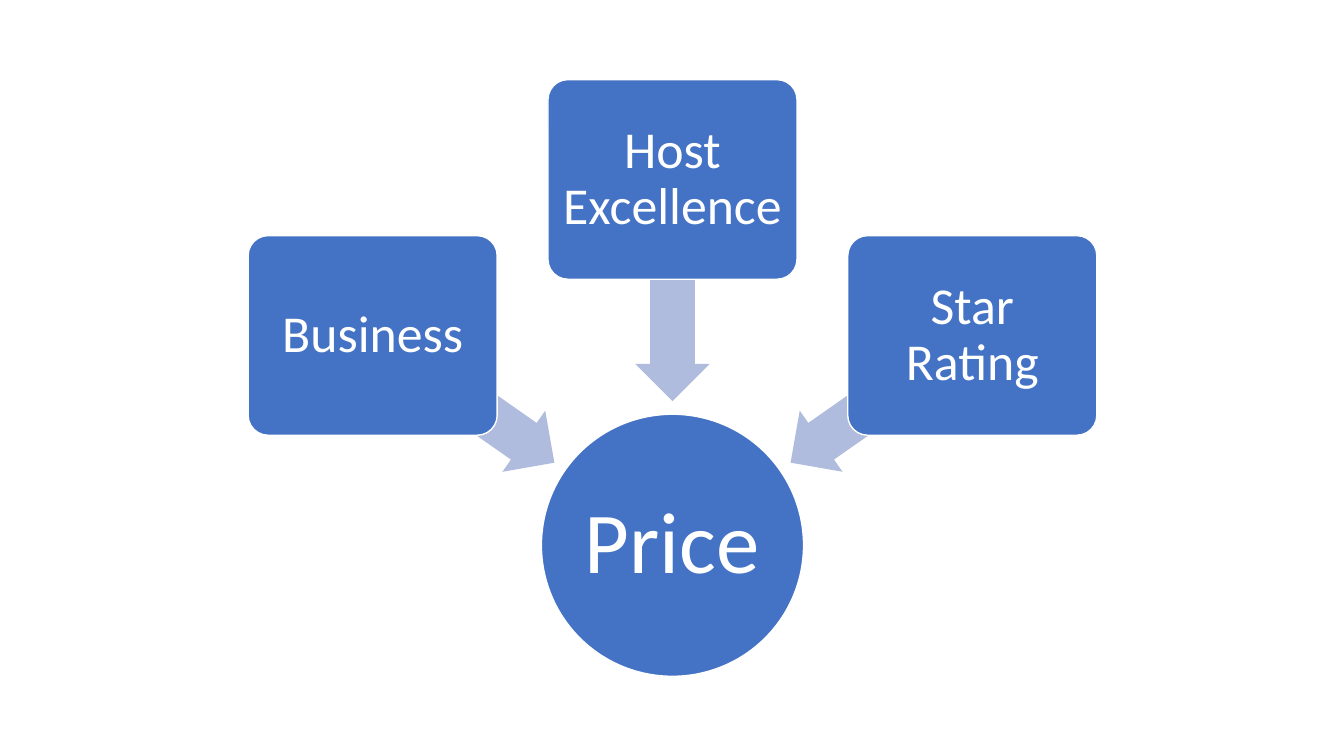
"""Build a slide with three factors converging on a central price circle."""
from math import cos, radians, sin

from pptx import Presentation
from pptx.dml.color import RGBColor
from pptx.enum.shapes import MSO_SHAPE
from pptx.enum.text import MSO_ANCHOR, PP_ALIGN
from pptx.util import Pt

FACTORS = [("Business", 215), ("Host Excellence", 270), ("Star Rating", 325)]
COLORS = {"node": "4472C4", "arrow": "B0BCDE", "white": "FFFFFF"}
FONT = "Calibri"

PX = 9144
SLIDE_SIZE = (1333, 750)
HUB_CENTER = (667, 541)
HUB_SIZE = (260, 260)
BOX_SIZE = (247, 198)
ARROW_SIZE = (220, 74)
BOX_RADIUS = 363
ARROW_RADIUS = 253


def polar(radius, angle):
    """Return the point at a radius and clockwise angle around the hub."""
    turn = radians(angle)
    return HUB_CENTER[0] + radius * cos(turn), HUB_CENTER[1] + radius * sin(turn)


def add_centered(slide, kind, center, size, color):
    """Add a filled shape placed by its center."""
    left, top = (middle - length / 2 for middle, length in zip(center, size))
    shape = slide.shapes.add_shape(
        kind, *(round(value * PX) for value in (left, top, *size)))
    shape.shadow.inherit = False
    shape.fill.solid()
    shape.fill.fore_color.rgb = RGBColor.from_string(COLORS[color])
    shape.line.fill.background()
    return shape


def add_node(slide, kind, center, size, text, points, inset):
    """Add a white-outlined node with centered text."""
    shape = add_centered(slide, kind, center, size, "node")
    white = RGBColor.from_string(COLORS["white"])
    shape.line.color.rgb = white
    shape.line.width = Pt(1)
    frame = shape.text_frame
    frame.text = text
    frame.word_wrap = True
    frame.vertical_anchor = MSO_ANCHOR.MIDDLE
    frame.margin_left = frame.margin_right = inset * PX
    frame.margin_top = frame.margin_bottom = inset * PX
    paragraph = frame.paragraphs[0]
    paragraph.alignment = PP_ALIGN.CENTER
    paragraph.line_spacing = 0.9
    font = paragraph.runs[0].font
    font.name = FONT
    font.size = Pt(points)
    font.color.rgb = white
    return shape


def main():
    """Draw the hub, then each arrow beneath its factor box."""
    presentation = Presentation()
    presentation.slide_width, presentation.slide_height = (
        length * PX for length in SLIDE_SIZE)
    slide = presentation.slides.add_slide(presentation.slide_layouts[6])

    add_node(slide, MSO_SHAPE.OVAL, HUB_CENTER, HUB_SIZE, "Price", 62, 4)
    for label, angle in FACTORS:
        arrow = add_centered(slide, MSO_SHAPE.LEFT_ARROW,
                             polar(ARROW_RADIUS, angle), ARROW_SIZE, "arrow")
        arrow.adjustments[0] = 0.6
        arrow.adjustments[1] = 0.5
        arrow.rotation = angle
        box = add_node(slide, MSO_SHAPE.ROUNDED_RECTANGLE,
                       polar(BOX_RADIUS, angle), BOX_SIZE, label, 37, 8)
        box.adjustments[0] = 0.1

    presentation.save("out.pptx")


if __name__ == "__main__":
    main()
